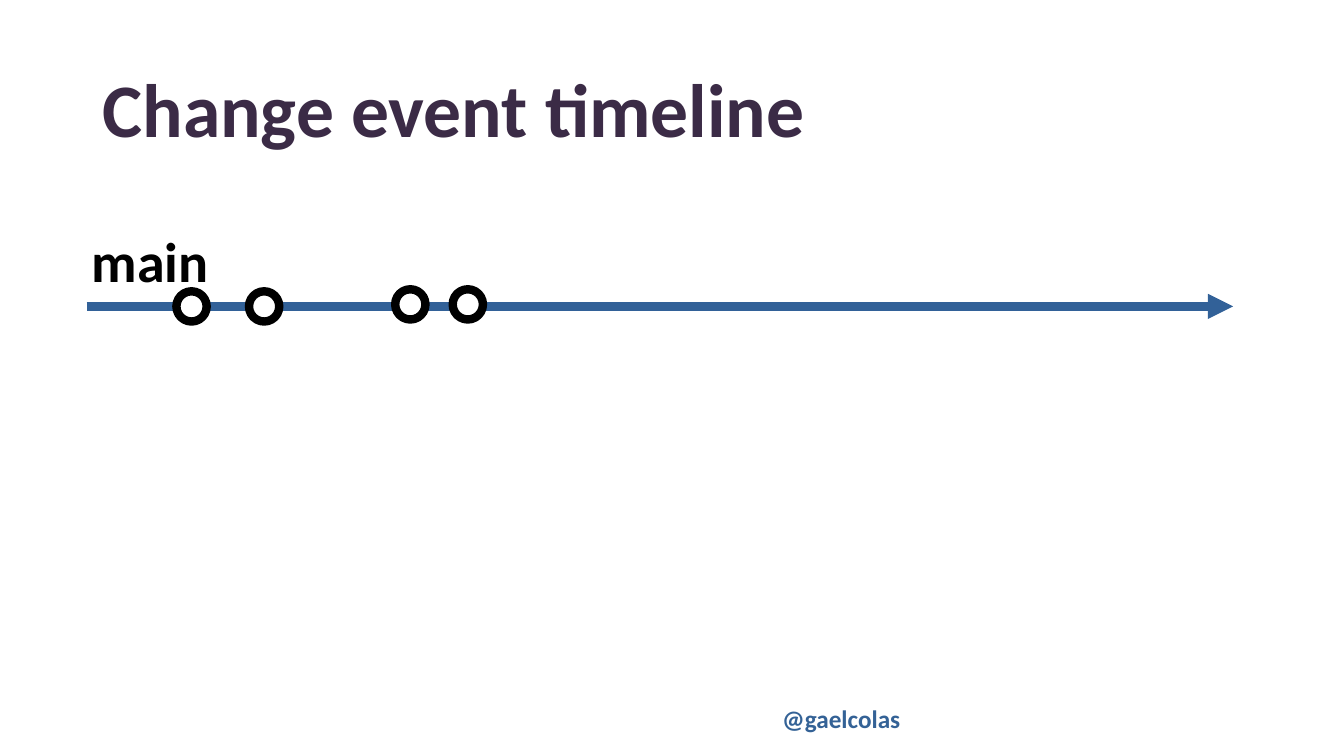
from lxml import etree
from pptx import Presentation
from pptx import util as u
from pptx.dml.color import RGBColor
from pptx.enum import shapes, text
from pptx.oxml import ns

WIDE, HIGH = 13.33, 7.5
WHITE = RGBColor(0xFF, 0xFF, 0xFF)
BLACK = RGBColor(0, 0, 0)
PLUM = RGBColor(0x3B, 0x2B, 0x46)
BLUE = RGBColor(0x32, 0x61, 0x98)
SKY = RGBColor(0x34, 0x62, 0x96)

LABELS = [
    ("@gaelcolas", dict(box=(7.66, 6.93, 2.49, 0.4), size=18, color=SKY)),
    ("Change event timeline", dict(box=(0.92, 0.4, 10.64, 1.45), size=54, color=PLUM,
                                   anchor=text.MSO_ANCHOR.MIDDLE, space=0.9)),
    ("main", dict(box=(0.81, 2.2, 3.32, 0.77), size=40, color=BLACK)),
]
START, END, LEVEL = 0.86, 12.23, 3.04
EVENTS = [(1.9, LEVEL), (2.62, LEVEL), (4.07, LEVEL - 0.02), (4.64, LEVEL - 0.02)]
DOT, STROKE = 0.3, 6

deck = Presentation()
deck.slide_width, deck.slide_height = u.Inches(WIDE), u.Inches(HIGH)
slide = deck.slides.add_slide(deck.slide_layouts[6])


def write(words, box, size, color, anchor=text.MSO_ANCHOR.TOP, space=1.0):
    frame = slide.shapes.add_textbox(*map(u.Inches, box)).text_frame
    frame.word_wrap = True
    frame.vertical_anchor = anchor
    para = frame.paragraphs[0]
    para.line_spacing = space
    run = para.add_run()
    run.text = words
    font = run.font
    font.name, font.size, font.bold = "Calibri", u.Pt(size), True
    font.color.rgb = color


def stroke(line, color):
    line.color.rgb = color
    line.width = u.Pt(STROKE)


def draw_axis():
    axis = slide.shapes.add_connector(
        shapes.MSO_CONNECTOR.STRAIGHT, *map(u.Inches, (START, LEVEL, END, LEVEL)))
    stroke(axis.line, BLUE)
    etree.SubElement(axis.line._get_or_add_ln(), ns.qn("a:tailEnd"), type="triangle")
    etree.SubElement(axis._element.spPr, ns.qn("a:effectLst"))


def draw_event(x, y):
    dot = slide.shapes.add_shape(
        shapes.MSO_SHAPE.OVAL,
        *map(u.Inches, (x - DOT / 2, y - DOT / 2, DOT, DOT)))
    dot.shadow.inherit = False
    dot.fill.solid()
    dot.fill.fore_color.rgb = WHITE
    stroke(dot.line, BLACK)


draw_axis()
for words, style in LABELS:
    write(words, **style)
for x, y in EVENTS:
    draw_event(x, y)

deck.save("out.pptx")
